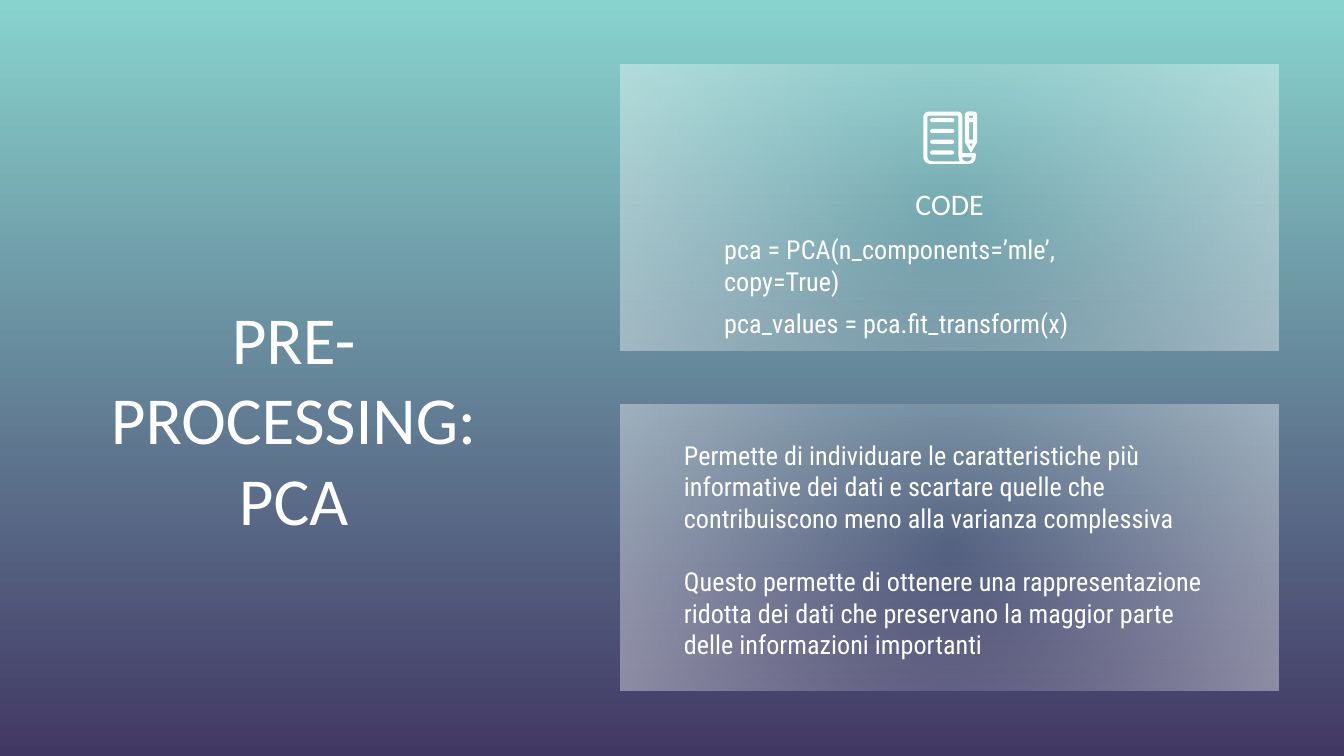
from dataclasses import dataclass

from lxml.etree import SubElement
from pptx import Presentation
from pptx.dml.color import RGBColor
from pptx.enum.shapes import MSO_SHAPE
from pptx.enum.text import MSO_ANCHOR, PP_ALIGN
from pptx.oxml.ns import qn
from pptx.util import Inches, Pt

COLUMNS, ROWS = 100, 56.25
CELL = Inches(0.1)
CURVE_STEPS = 6


@dataclass(frozen=True)
class Theme:
    white: RGBColor = RGBColor(0xFF, 0xFF, 0xFF)
    sky: RGBColor = RGBColor(0x88, 0xD3, 0xCE)
    dusk: RGBColor = RGBColor(0x42, 0x38, 0x64)
    panel_edge_opacity: int = 39
    heading_font: str = "Calibri"
    body_font: str = "Roboto Condensed"
    title_size: int = 36
    caption_size: int = 16
    body_size: int = 14


THEME = Theme()
TITLE = {"name": THEME.heading_font, "size": Pt(THEME.title_size)}
CAPTION = {"name": THEME.heading_font, "size": Pt(THEME.caption_size)}
BODY = {"name": THEME.body_font, "size": Pt(THEME.body_size)}
CENTRED = {"alignment": PP_ALIGN.CENTER}
LEFT = {"alignment": PP_ALIGN.LEFT}

# Icon outlines in tenths of a cell: (x, y, corner radius).
SCROLL = [
    [(0, 0, 5), (29, 0, 4), (29, 31, 0), (39, 31, 1), (39, 39, 6), (0, 39, 6)],
    [(3, 3, 1.5), (26, 3, 1), (26, 33, 0), (27, 37, 0), (3, 37, 4)],
    [(29, 34, 0), (36, 34, 0), (36, 37, 3), (29, 37, 3)],
]
PENCIL = [
    [(31, 0, 3), (40, 0, 3), (40, 23, 1), (35.5, 31, 1), (31, 23, 1)],
    [(34, 3, 0), (37, 3, 0), (37, 5, 0), (34, 5, 0)],
    [(34, 8, 0), (37, 8, 0), (37, 21, 0), (34, 21, 0)],
    [(34, 24, 0), (37, 24, 0), (35.5, 26, 0)],
]


def cells(*lengths):
    return [round(length * CELL) for length in lengths]


def set_all(target, values):
    for attribute, value in values.items():
        setattr(target, attribute, value)


def paint_background(slide):
    fill = slide.background.fill
    fill.gradient()
    fill.gradient_angle = 270
    for stop, colour in zip(fill.gradient_stops, (THEME.sky, THEME.dusk)):
        stop.color.rgb = colour


def plain_white(shape):
    shape.shadow.inherit = False
    shape.fill.solid()
    shape.fill.fore_color.rgb = THEME.white
    shape.line.fill.background()


def add_panel(slide, top):
    """Add a white pane that is clear in the middle and hazy at its edges."""
    panel = slide.shapes.add_shape(MSO_SHAPE.RECTANGLE, *cells(46.2, top, 48.9, 21.3))
    panel.shadow.inherit = False
    panel.line.fill.background()
    panel.fill.gradient()
    for stop in panel.fill.gradient_stops:
        stop.color.rgb = THEME.white
    gradient = panel._element.spPr.find(qn("a:gradFill"))
    opacities = (0, THEME.panel_edge_opacity)
    for colour, opacity in zip(gradient.iter(qn("a:srgbClr")), opacities):
        SubElement(colour, qn("a:alpha"), {"val": str(opacity * 1000)})
    gradient.remove(gradient.find(qn("a:lin")))
    radial = SubElement(gradient, qn("a:path"), {"path": "circle"})
    SubElement(radial, qn("a:fillToRect"), {side: "50000" for side in "ltrb"})


def add_text(slide, area, paragraphs, font, layout, anchor=MSO_ANCHOR.TOP, gap=0):
    frame = slide.shapes.add_textbox(*cells(*area)).text_frame
    margins = {f"margin_{side}": CELL for side in ("left", "top", "right", "bottom")}
    set_all(frame, {"word_wrap": True, "vertical_anchor": anchor, **margins})
    for index, wording in enumerate(paragraphs):
        paragraph = frame.add_paragraph() if index else frame.paragraphs[0]
        set_all(paragraph, {**layout, "space_before": Pt(gap if index else 0)})
        run = paragraph.add_run()
        run.text = wording
        set_all(run.font, font)
        run.font.color.rgb = THEME.white


def toward(start, end, distance):
    length = ((end[0] - start[0]) ** 2 + (end[1] - start[1]) ** 2) ** 0.5
    return [a + (b - a) * distance / length for a, b in zip(start, end)]


def round_corners(corners):
    """Replace each corner with a radius by points along a quadratic curve."""
    points = []
    for index, (x, y, radius) in enumerate(corners):
        corner = (x, y)
        if not radius:
            points.append(corner)
            continue
        entry = toward(corner, corners[index - 1][:2], radius)
        leave = toward(corner, corners[(index + 1) % len(corners)][:2], radius)
        for step in range(CURVE_STEPS + 1):
            t = step / CURVE_STEPS
            points.append(tuple(
                (1 - t) ** 2 * a + 2 * t * (1 - t) * b + t ** 2 * c
                for a, b, c in zip(entry, corner, leave)
            ))
    return points


def add_outline(group, contours, origin):
    fineness = 100
    builder = None
    for contour in contours:
        points = [(x * fineness, y * fineness) for x, y in round_corners(contour)]
        if builder is None:
            builder = group.shapes.build_freeform(*points[0], scale=CELL / 10 / fineness)
        else:
            builder.move_to(*points[0])
        builder.add_line_segments(points[1:], close=True)
    plain_white(builder.convert_to_shape(*cells(*origin)))


def add_code_icon(slide, left, top):
    group = slide.shapes.add_group_shape()
    add_outline(group, SCROLL, (left, top))
    for row in range(4):
        area = cells(left + 0.5, top + 0.5 + 0.8 * row, 1.8, 0.3)
        written_line = group.shapes.add_shape(MSO_SHAPE.ROUNDED_RECTANGLE, *area)
        written_line.adjustments[0] = 0.5
        plain_white(written_line)
    add_outline(group, PENCIL, (left, top))


def main():
    deck = Presentation()
    deck.slide_width, deck.slide_height = cells(COLUMNS, ROWS)
    slide = deck.slides.add_slide(deck.slide_layouts[6])
    paint_background(slide)
    for top in (30.1, 4.8):
        add_panel(slide, top)

    add_text(slide, (5, 21.1, 33.7, 14.2), ["PRE-PROCESSING: PCA"], TITLE, CENTRED)
    add_text(slide, (52.9, 16.4, 35.4, 8.7),
             ["pca = PCA(n_components=’mle’, copy=True)",
              "pca_values = pca.fit_transform(x)"], BODY, LEFT, gap=6)
    add_text(slide, (49.9, 31.7, 41.5, 18.8),
             ["Permette di individuare le caratteristiche più informative dei dati e "
              "scartare quelle che contribuiscono meno alla varianza complessiva"],
             BODY, LEFT)
    add_text(slide, (52.9, 14.6, 35.5, 2.9), ["CODE"], CAPTION, CENTRED,
             anchor=MSO_ANCHOR.BOTTOM)
    add_code_icon(slide, 68.7, 8.3)
    add_text(slide, (49.9, 41.1, 41.5, 9.1),
             ["Questo permette di ottenere una rappresentazione ridotta dei dati che "
              "preservano la maggior parte delle informazioni importanti"], BODY, LEFT)
    deck.save("out.pptx")


if __name__ == "__main__":
    main()
